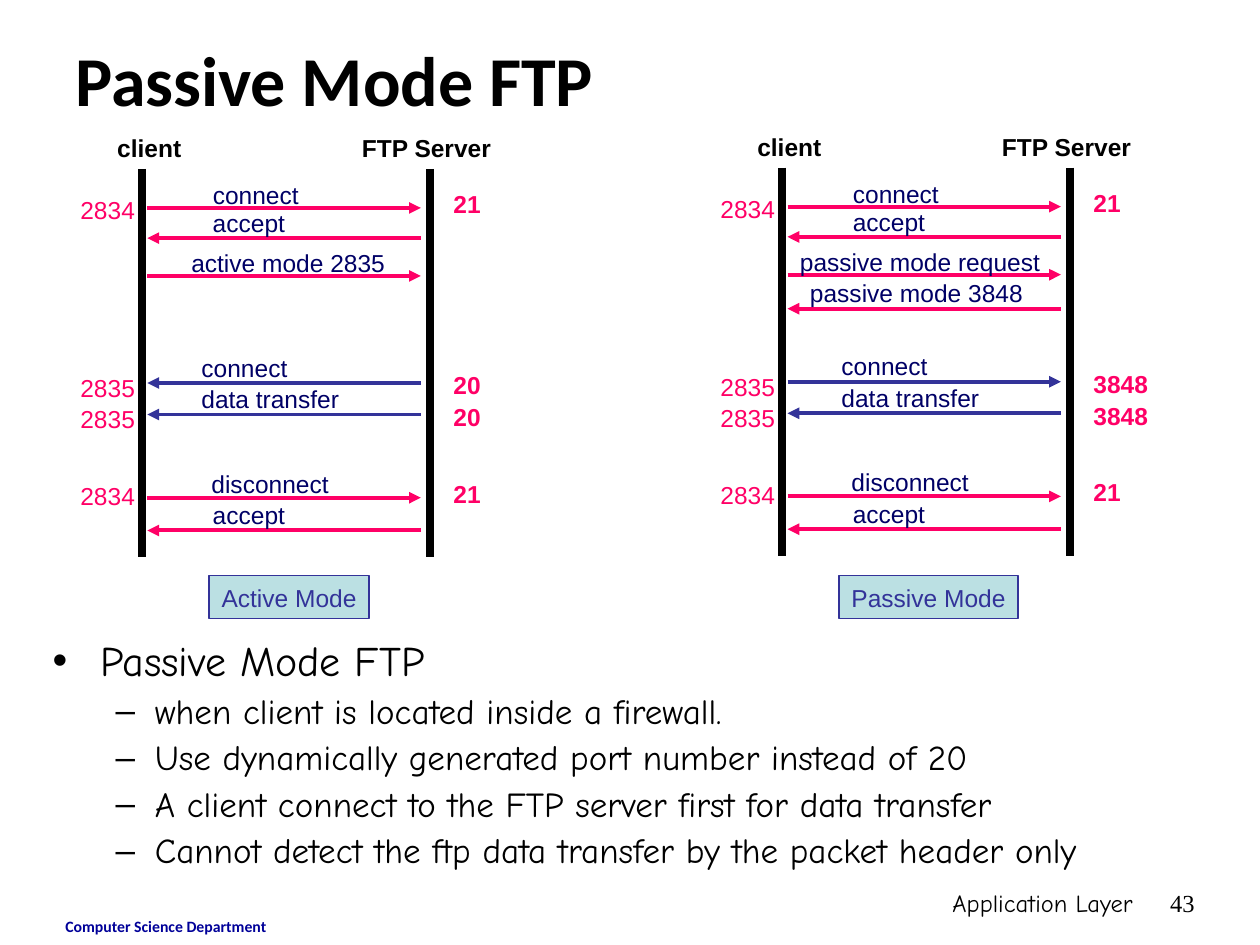
"""Build a slide comparing active and passive mode FTP exchanges."""
from dataclasses import dataclass

import pptx
import pptx.dml.color
import pptx.enum.shapes
import pptx.enum.text
import pptx.oxml.ns
import pptx.util
from lxml import etree

Inches = pptx.util.Inches
Pt = pptx.util.Pt
ALIGN = pptx.enum.text.PP_ALIGN
PINK, INDIGO, NAVY, BLACK = "FF0066", "333399", "000066", "000000"
LINE_HEIGHT = 0.34
LIFELINE_TOP, LIFELINE_BOTTOM = 1.34, 4.42


@dataclass(frozen=True)
class Message:
    text: str
    left: float
    width: float
    arrow_y: float
    to_server: bool
    color: str = PINK
    rise: float = 0.29


@dataclass(frozen=True)
class PortPair:
    client: str
    server: str
    client_top: float
    server_top: float


@dataclass(frozen=True)
class Exchange:
    name: str
    x: float
    y: float
    name_left: float
    name_width: float
    data_port: str
    messages: tuple[Message, ...]


@dataclass(frozen=True)
class Style:
    size: float = 14
    font: str = "Arial"
    color: str = BLACK
    bold: bool = False


OPENING = (
    Message("connect", 1.59, 0.88, 1.65, True, rise=0.27),
    Message("accept", 1.59, 0.77, 1.89, False),
)
CLOSING = (
    Message("data transfer", 1.5, 1.29, 3.29, False, INDIGO),
    Message("disconnect", 1.58, 1.13, 3.95, True, rise=0.28),
    Message("accept", 1.59, 0.77, 4.21, False),
)
ACTIVE = OPENING + (
    Message("active mode 2835", 1.42, 1.74, 2.19, True, rise=0.27),
    Message("connect", 1.5, 0.88, 3.04, False, INDIGO),
) + CLOSING
PASSIVE = OPENING + (
    Message("passive mode request", 1.17, 2.11, 2.19, True, rise=0.27),
    Message("passive mode 3848", 1.25, 1.89, 2.46, False),
    Message("connect", 1.5, 0.88, 3.04, True, INDIGO),
) + CLOSING
EXCHANGES = (
    Exchange("Active Mode", 0, 0, 1.66, 1.27, "20", ACTIVE),
    Exchange("Passive Mode", 5.08, -0.01, 1.58, 1.42, "3848", PASSIVE),
)
POINTS = (
    "when client is located inside a firewall.",
    "Use dynamically generated port number instead of 20",
    "A client connect to the FTP server first for data transfer",
    "Cannot detect the ftp data transfer by the packet header only",
)


def rgb(color: str):
    """Turn a hex string into a colour."""
    return pptx.dml.color.RGBColor.from_string(color)


def add_child(parent, tag: str, **attributes: str):
    """Append a DrawingML element."""
    return etree.SubElement(parent, pptx.oxml.ns.qn(tag), attributes)


def style_paragraph(para, style: Style, align=ALIGN.LEFT) -> None:
    """Set alignment and font of a paragraph."""
    para.alignment = align
    para.font.size = Pt(style.size)
    para.font.name = style.font
    para.font.bold = style.bold
    para.font.color.rgb = rgb(style.color)


def fill_text(box, text: str, style: Style, align=ALIGN.LEFT) -> None:
    """Put one styled paragraph in a box, with slack on its free sides."""
    frame = box.text_frame
    frame.word_wrap = True
    if align != ALIGN.RIGHT:
        frame.margin_right = 0
    if align == ALIGN.CENTER:
        frame.margin_left = 0
    frame.text = text
    style_paragraph(frame.paragraphs[0], style, align)


def add_box(page, left: float, top: float, width: float, height: float = LINE_HEIGHT):
    """Add an empty text box."""
    return page.shapes.add_textbox(Inches(left), Inches(top), Inches(width), Inches(height))


def add_line(page, start: tuple, end: tuple, color: str, weight: float, arrow=False) -> None:
    """Draw a straight line, with an optional arrowhead at its end."""
    line = page.shapes.add_connector(
        pptx.enum.shapes.MSO_CONNECTOR.STRAIGHT, *map(Inches, start + end))
    line.line.color.rgb = rgb(color)
    line.line.width = Pt(weight)
    if arrow:
        add_child(line.line._get_or_add_ln(), "a:tailEnd", type="triangle")
    add_child(line._element.spPr, "a:effectLst")


def draw_message(page, message: Message, x: float, y: float) -> None:
    """Draw an arrow between the lifelines and its label."""
    height = y + message.arrow_y
    ends = [(x + 1.17, height), (x + 3.34, height)]
    start, end = ends if message.to_server else ends[::-1]
    add_line(page, start, end, message.color, 2.25, arrow=True)
    box = add_box(page, x + message.left, height - message.rise, message.width)
    fill_text(box, message.text, Style(color=NAVY))


def draw_ports(page, ports: PortPair, x: float, y: float) -> None:
    """Write the client and server port beside the lifelines."""
    box = add_box(page, x + 0.34, y + ports.client_top, 0.83)
    fill_text(box, ports.client, Style(color=PINK), ALIGN.RIGHT)
    width = 0.19 + 0.11 * len(ports.server)
    box = add_box(page, x + 3.5, y + ports.server_top, width)
    fill_text(box, ports.server, Style(color=PINK, bold=True))


def draw_exchange(page, exchange: Exchange) -> None:
    """Draw one complete sequence diagram."""
    x, y = exchange.x, exchange.y
    for line_x in (1.13, 3.41):
        add_line(page, (x + line_x, y + LIFELINE_TOP), (x + line_x, y + LIFELINE_BOTTOM), BLACK, 4.5)
    for text, left, width in (("client", 0.83, 0.71), ("FTP Server", 2.77, 1.23)):
        fill_text(add_box(page, x + left, y + 1.01, width), text, Style(bold=True), ALIGN.CENTER)
    for message in exchange.messages:
        draw_message(page, message, x, y)
    for ports in (
        PortPair("2834", "21", 1.5, 1.45),
        PortPair("2835", exchange.data_port, 2.91, 2.89),
        PortPair("2835", exchange.data_port, 3.16, 3.14),
        PortPair("2834", "21", 3.77, 3.75),
    ):
        draw_ports(page, ports, x, y)
    plate = page.shapes.add_shape(
        pptx.enum.shapes.MSO_SHAPE.RECTANGLE, Inches(x + exchange.name_left), Inches(4.57),
        Inches(exchange.name_width), Inches(LINE_HEIGHT))
    plate.shadow.inherit = False
    plate.fill.solid()
    plate.fill.fore_color.rgb = rgb("BBE0E3")
    plate.line.color.rgb = rgb(INDIGO)
    plate.line.width = Pt(0.75)
    fill_text(plate, exchange.name, Style(color=INDIGO), ALIGN.CENTER)


def add_bullet(para, text: str, level: int) -> None:
    """Write a bulleted paragraph of the given level."""
    para.text = text
    para.level = level
    para.line_spacing = 0.9
    margin, indent, mark, size = ((0.38, -0.38, "•", 24), (0.81, -0.31, "–", 20))[level]
    properties = para._p.get_or_add_pPr()
    properties.set("marL", str(Inches(margin)))
    properties.set("indent", str(Inches(indent)))
    add_child(properties, "a:buFont", typeface="Arial")
    add_child(properties, "a:buChar", char=mark)
    style_paragraph(para, Style(size, "Comic Neue"))


def main() -> None:
    """Build and save the deck."""
    deck = pptx.Presentation()
    deck.slide_width, deck.slide_height = Inches(10), Inches(7.5)
    page = deck.slides.add_slide(deck.slide_layouts[6])
    title = add_box(page, 0.5, 0.3, 9, 0.64)
    fill_text(title, "Passive Mode FTP", Style(40, "Calibri", bold=True))
    title.text_frame.vertical_anchor = pptx.enum.text.MSO_ANCHOR.MIDDLE
    frame = add_box(page, 0.32, 5.03, 9.28, 2.02).text_frame
    frame.word_wrap = True
    add_bullet(frame.paragraphs[0], "Passive Mode FTP", 0)
    for point in POINTS:
        para = frame.add_paragraph()
        para.space_before = Pt(5)
        add_bullet(para, point, 1)
    for exchange in EXCHANGES:
        draw_exchange(page, exchange)
    for text, place, style, align in (
        ("Computer Science Department", (0.42, 7.23, 2.33, 0.27),
         Style(9, "Calibri", "000099", True), ALIGN.LEFT),
        ("Application Layer", (5.92, 7, 3.17, 0.5), Style(14, "Comic Neue"), ALIGN.RIGHT),
        ("43", (9.08, 7, 0.5, 0.5), Style(14, "Times New Roman"), ALIGN.RIGHT),
    ):
        fill_text(add_box(page, *place), text, style, align)
    deck.save("out.pptx")


if __name__ == "__main__":
    main()
